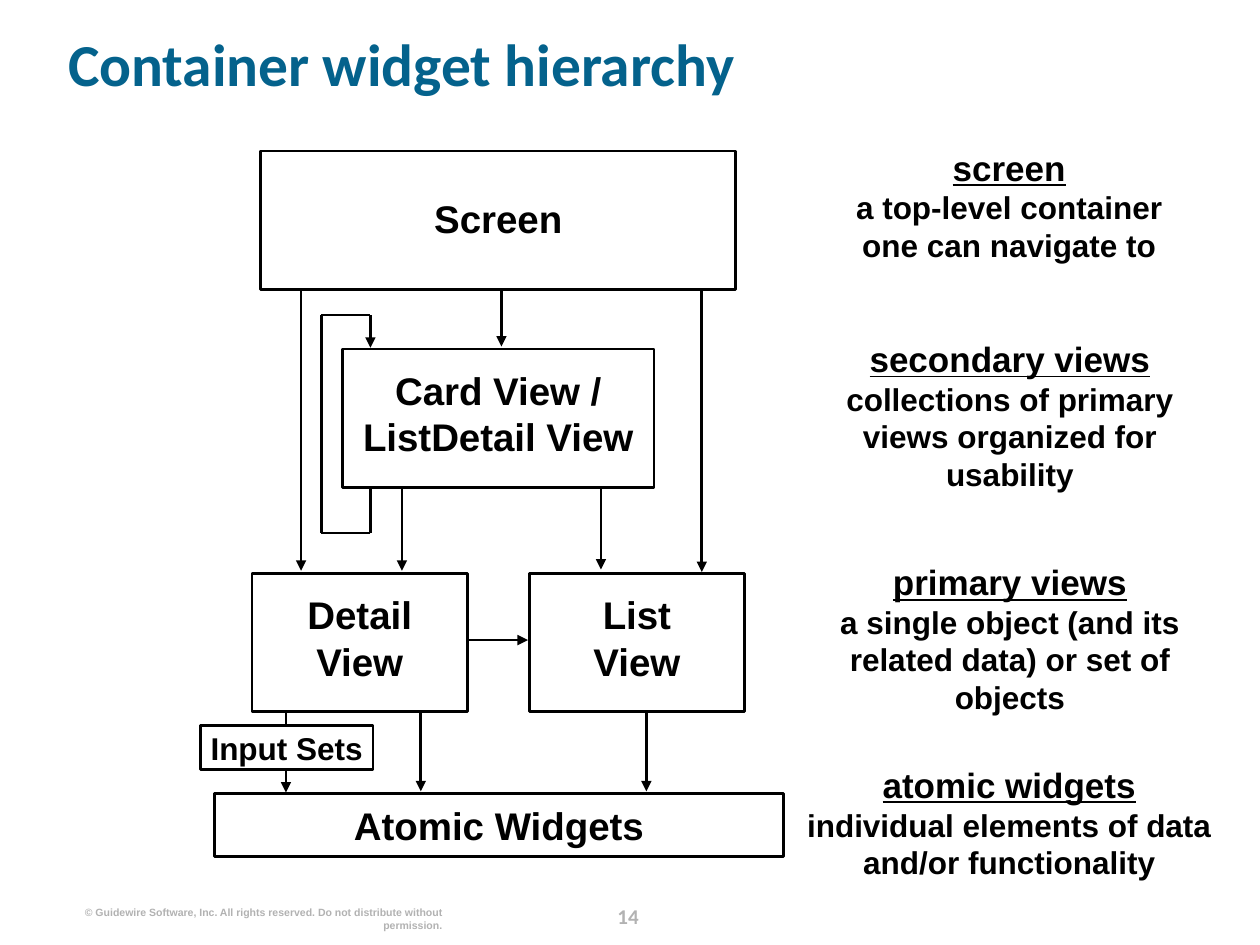
from pptx import Presentation
from pptx.dml.color import RGBColor
from pptx.enum.shapes import MSO_CONNECTOR, MSO_SHAPE
from pptx.enum.text import MSO_ANCHOR, PP_ALIGN
from pptx.oxml.ns import qn
from pptx.util import Inches, Pt
from lxml import etree

LEFT, CENTER, RIGHT = PP_ALIGN.LEFT, PP_ALIGN.CENTER, PP_ALIGN.RIGHT
TOP, MIDDLE = MSO_ANCHOR.TOP, MSO_ANCHOR.MIDDLE
STRAIGHT = MSO_CONNECTOR.STRAIGHT
RECTANGLE = MSO_SHAPE.RECTANGLE

BLACK, WHITE, TEAL, GRAY = "000000", "FFFFFF", "04628C", "B2B2B2"


def color(value):
    return RGBColor.from_string(value)


class HierarchySlide:
    line_width = Pt(1.5)

    def __init__(self, page):
        self.page = page

    def prepare(self, frame, anchor):
        frame.word_wrap = True
        frame.vertical_anchor = anchor
        frame.margin_left = frame.margin_right = 0
        frame.margin_top = frame.margin_bottom = 0

    def format(self, para, size, align=CENTER, fill=BLACK, font="Arial"):
        para.alignment = align
        para.font.name = font
        para.font.size = Pt(size)
        para.font.bold = True
        para.font.color.rgb = color(fill)

    def title(self, text, left, top, width, height):
        box = self.page.shapes.title
        box.left, box.top = Inches(left), Inches(top)
        box.width, box.height = Inches(width), Inches(height)
        frame = box.text_frame
        self.prepare(frame, MIDDLE)
        frame.text = text
        frame.paragraphs[0].line_spacing = 0.9
        self.format(frame.paragraphs[0], 34, LEFT, TEAL, "Calibri")

    def text(self, text, left, top, width, height, size, **style):
        box = self.page.shapes.add_textbox(
            Inches(left), Inches(top), Inches(width), Inches(height))
        self.prepare(box.text_frame, TOP)
        para = box.text_frame.paragraphs[0]
        para.text = text
        self.format(para, size, **style)
        return para

    def note(self, heading, text, left, top, width, height):
        para = self.text("", left, top, width, height, 18)
        span = para.add_run()
        span.text = heading
        span.font.size = Pt(20)
        span.font.underline = True
        for part in text.split("\n"):
            para.add_line_break()
            para.add_run().text = part

    def widget(self, text, left, top, width, height, size=22, lift=0):
        box = self.page.shapes.add_shape(
            RECTANGLE, Inches(left), Inches(top), Inches(width), Inches(height))
        box.shadow.inherit = False
        box.fill.solid()
        box.fill.fore_color.rgb = color(WHITE)
        box.line.color.rgb = color(BLACK)
        box.line.width = self.line_width
        self.prepare(box.text_frame, MIDDLE)
        box.text_frame.margin_bottom = Inches(lift)
        para = box.text_frame.paragraphs[0]
        para.text = text
        self.format(para, size)

    def line(self, start, end, arrow=False):
        link = self.page.shapes.add_connector(
            STRAIGHT, *(Inches(value) for value in (*start, *end)))
        link.line.color.rgb = color(BLACK)
        link.line.width = self.line_width
        if arrow:
            tail = etree.SubElement(link.line._get_or_add_ln(), qn("a:tailEnd"))
            tail.set("type", "triangle")
        etree.SubElement(link._element.spPr, qn("a:effectLst"))


def main():
    deck = Presentation()
    deck.slide_width, deck.slide_height = Inches(10), Inches(7.5)
    slide = HierarchySlide(deck.slides.add_slide(deck.slide_layouts[5]))

    slide.title("Container widget hierarchy", 0.54, 0.13, 9.1, 0.81)

    # Arrows from each container to what it can hold
    for x, top, bottom in (
        (2.39, 2.3, 4.53), (3.98, 2.3, 2.75), (5.57, 2.3, 4.54),
        (3.19, 3.87, 4.53), (4.77, 3.87, 4.52),
        (2.27, 5.65, 6.29), (3.34, 5.65, 6.28), (5.13, 5.65, 6.28),
    ):
        slide.line((x, top), (x, bottom), arrow=True)
    slide.line((3.72, 5.08), (4.19, 5.08), arrow=True)

    # Loop from the card view back to itself
    loop = [(2.94, 3.87), (2.94, 4.23), (2.55, 4.23),
            (2.55, 2.5), (2.94, 2.5), (2.94, 2.76)]
    for start, end in zip(loop, loop[1:]):
        slide.line(start, end, arrow=end == loop[-1])

    # Widgets
    slide.widget("Screen", 2.07, 1.2, 3.77, 1.1, lift=0.03)
    slide.widget("Card View /\vListDetail View", 2.72, 2.77, 2.47, 1.1, lift=0.08)
    slide.widget("Detail\vView", 2, 4.55, 1.71, 1.1, lift=0.08)
    slide.widget("List\vView", 4.2, 4.55, 1.71, 1.1, lift=0.08)
    slide.widget("Atomic Widgets", 1.7, 6.3, 4.52, 0.5)
    slide.widget("Input Sets", 1.59, 5.76, 1.37, 0.35, size=18)

    # Definitions on the right
    slide.note("screen", "a top-level container\none can navigate to",
               6.33, 1.16, 3.36, 0.97)
    slide.note("secondary views",
               "collections of primary views organized for usability",
               6.42, 2.68, 3.19, 1.23)
    slide.note("primary views",
               "a single object (and its related data) or set of objects",
               6.62, 4.45, 2.79, 1.23)
    slide.note("atomic widgets",
               "individual elements of data and/or functionality",
               6.39, 6.06, 3.24, 0.93)

    # Footer
    slide.text("© Guidewire Software, Inc. All rights reserved. "
               "Do not distribute without permission.",
               0.61, 7.19, 2.9, 0.2, 6, align=RIGHT, fill=GRAY)
    slide.text("14", 4.7, 7.17, 0.57, 0.25, 12, fill=GRAY, font="Calibri")

    deck.save("out.pptx")


if __name__ == "__main__":
    main()
